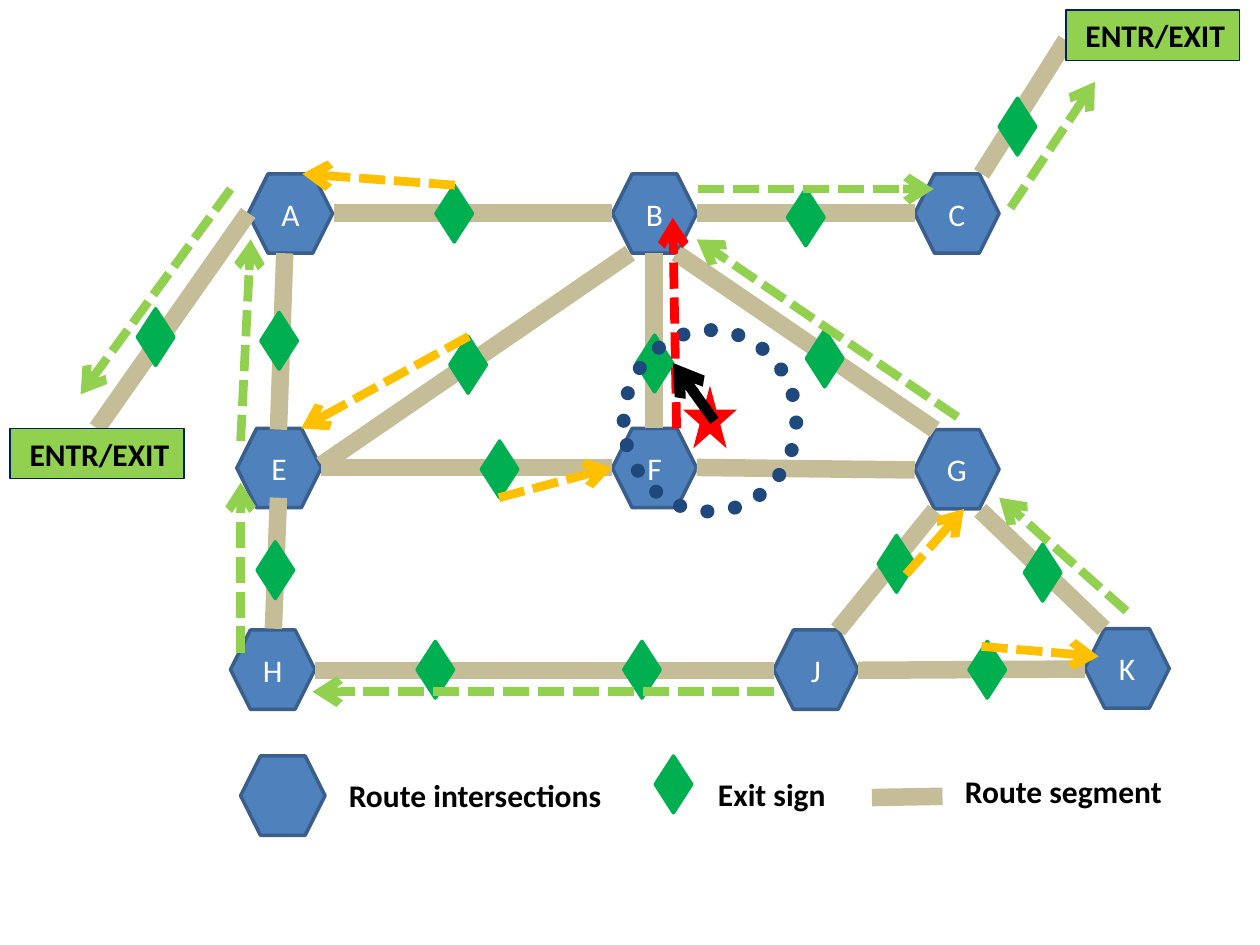
from lxml import etree
from pptx import Presentation
from pptx.dml.color import RGBColor
from pptx.enum.dml import MSO_LINE
from pptx.enum.shapes import MSO_CONNECTOR, MSO_SHAPE
from pptx.enum.text import MSO_ANCHOR, PP_ALIGN
from pptx.oxml.ns import qn
from pptx.util import Inches, Pt

HEXAGON, DIAMOND = MSO_SHAPE.HEXAGON, MSO_SHAPE.DIAMOND
RECT, STAR, OVAL = MSO_SHAPE.RECTANGLE, MSO_SHAPE.STAR_5_POINT, MSO_SHAPE.OVAL
STRAIGHT = MSO_CONNECTOR.STRAIGHT
DASH, DOT = MSO_LINE.SQUARE_DOT, MSO_LINE.ROUND_DOT
LEFT, CENTER = PP_ALIGN.LEFT, PP_ALIGN.CENTER
MIDDLE = MSO_ANCHOR.MIDDLE

BLUE = RGBColor(0x4F, 0x81, 0xBD)
EDGE = RGBColor(0x3A, 0x5F, 0x8C)
NAVY = RGBColor(0x00, 0x20, 0x60)
RING = RGBColor(0x1F, 0x49, 0x7D)
TAN = RGBColor(0xC4, 0xBD, 0x97)
GREEN = RGBColor(0x00, 0xB0, 0x50)
LIME = RGBColor(0x92, 0xD0, 0x50)
AMBER = RGBColor(0xFF, 0xC0, 0x00)
RED = RGBColor(0xFF, 0x00, 0x00)
BLACK = RGBColor(0x00, 0x00, 0x00)
WHITE = RGBColor(0xFF, 0xFF, 0xFF)

HEX = (0.67, 0.63)
SIGN = (0.29, 0.45)
TAG = (1.38, 0.4)

prs = Presentation()
prs.slide_width, prs.slide_height = Inches(10), Inches(7.5)
slide = prs.slides.add_slide(prs.slide_layouts[6])
net = slide.shapes.add_group_shape().shapes


def block(home, kind, spot, size, fill=None, line=None, width=2,
          text="", color=BLACK, bold=False, align=LEFT):
    """Add a preset shape, or a text box when kind is None."""
    box = [Inches(n) for n in (*spot, *size)]
    if kind is None:
        item = home.add_textbox(*box)
    else:
        item = home.add_shape(kind, *box)
        item.shadow.inherit = False
        if fill is None:
            item.fill.background()
        else:
            item.fill.solid()
            item.fill.fore_color.rgb = fill
        if line is None:
            item.line.fill.background()
        else:
            item.line.color.rgb = line
            item.line.width = Pt(width)
    if text:
        frame = item.text_frame
        frame.word_wrap = False
        frame.vertical_anchor = MIDDLE
        para = frame.paragraphs[0]
        para.alignment = align
        run = para.add_run()
        run.text = text
        look = {"name": "Calibri", "size": Pt(18), "bold": bold}
        for key, value in look.items():
            setattr(run.font, key, value)
        run.font.color.rgb = color
    return item


def link(home, ends, color, width, dash=None, arrow=False):
    """Add a straight line, with an arrowhead at its end if asked."""
    item = home.add_connector(STRAIGHT, *[Inches(n) for n in ends])
    item.line.color.rgb = color
    item.line.width = Pt(width)
    if dash is not None:
        item.line.dash_style = dash
    props = item._element.spPr
    if arrow:
        etree.SubElement(props.find(qn("a:ln")), qn("a:tailEnd"), type="arrow")
    etree.SubElement(props, qn("a:effectLst"))


# Route intersections
nodes = {
    "A": (1.97, 1.38), "B": (4.86, 1.38), "C": (7.26, 1.38),
    "E": (1.88, 3.4), "F": (4.86, 3.4), "G": (7.26, 3.41),
    "H": (1.83, 5), "J": (6.14, 5), "K": (8.61, 4.99),
}
for name, spot in nodes.items():
    block(net, HEXAGON, spot, HEX, BLUE, EDGE, text=name, color=WHITE, align=CENTER)

# Route segments
roads = [
    (2.65, 1.69, 4.86, 1.69), (5.53, 1.69, 7.26, 1.69),
    (2.26, 2.01, 2.21, 3.41), (7.79, 1.38, 8.46, 0.32),
    (2.55, 3.69, 5, 2.01), (7.42, 3.41, 5.37, 2.01),
    (5.19, 3.4, 5.19, 2.01), (2.55, 3.71, 4.86, 3.71),
    (7.26, 3.73, 5.53, 3.71), (1.97, 1.69, 0.77, 3.4),
    (7.42, 4.05, 6.65, 5), (7.78, 4.05, 8.76, 4.99),
    (6.14, 5.32, 2.5, 5.32), (8.61, 5.31, 6.81, 5.32),
    (2.21, 3.95, 2.17, 4.99),
]
for ends in roads:
    link(net, ends, TAN, 10)

# Exit signs
signs = [
    (3.46, 1.47), (3.57, 2.67), (6.4, 2.62), (6.25, 1.5), (2.07, 2.48),
    (5.05, 2.66), (3.82, 3.5), (7.93, 0.78), (1.09, 2.45), (3.31, 5.09),
    (4.95, 5.09), (6.97, 4.25), (2.04, 4.3), (7.69, 5.09), (8.13, 4.32),
]
for spot in signs:
    block(net, DIAMOND, spot, SIGN, GREEN, GREEN)

# Entrances and exits
for spot in [(8.46, 0.08), (0.08, 3.4)]:
    block(net, RECT, spot, TAG, LIME, NAVY, 0.75, " ENTR/EXIT", bold=True)

# Incident with its dotted range
block(net, STAR, (5.42, 3.06), (0.43, 0.5), RED)
ring = block(net, OVAL, (4.95, 2.62), (1.37, 1.44), None, RING, 8)
ring.line.dash_style = DOT
ring._element.spPr.find(qn("a:ln")).set("cap", "rnd")

# Escape directions
paths = {
    RED: [(5.37, 3.4, 5.34, 1.73)],
    LIME: [
        (5.54, 1.5, 7.41, 1.5), (8.02, 1.65, 8.69, 0.65),
        (1.83, 1.5, 0.64, 3.13), (7.6, 3.31, 5.53, 1.9),
        (1.91, 5.18, 1.91, 3.83), (8.94, 4.85, 7.93, 3.95),
        (6.14, 5.49, 2.48, 5.49), (1.91, 3.5, 1.99, 1.9),
    ],
    AMBER: [
        (3.61, 1.47, 2.4, 1.38), (3.72, 2.67, 2.39, 3.4),
        (3.96, 3.95, 4.86, 3.71), (7.19, 4.56, 7.65, 4.04),
        (7.79, 5.13, 8.72, 5.21),
    ],
}
for color, routes in paths.items():
    for ends in routes:
        link(net, ends, color, 5, DASH, True)

# Incident to nearest sign
link(slide.shapes, (5.67, 3.34, 5.34, 2.88), BLACK, 6, arrow=True)

# Legend
block(slide.shapes, HEXAGON, (1.91, 6), HEX, BLUE, EDGE)
block(slide.shapes, DIAMOND, (5.2, 6), SIGN, GREEN, GREEN)
link(slide.shapes, (7.48, 6.32, 6.92, 6.33), TAN, 10)
legend = [
    ("Route intersections", (2.67, 6.11), 2.22),
    ("Exit sign", (5.6, 6.1), 1.06),
    ("Route segment", (7.56, 6.08), 1.78),
]
for text, spot, wide in legend:
    block(slide.shapes, None, spot, (wide, 0.4), text=text, bold=True)

prs.save("out.pptx")
